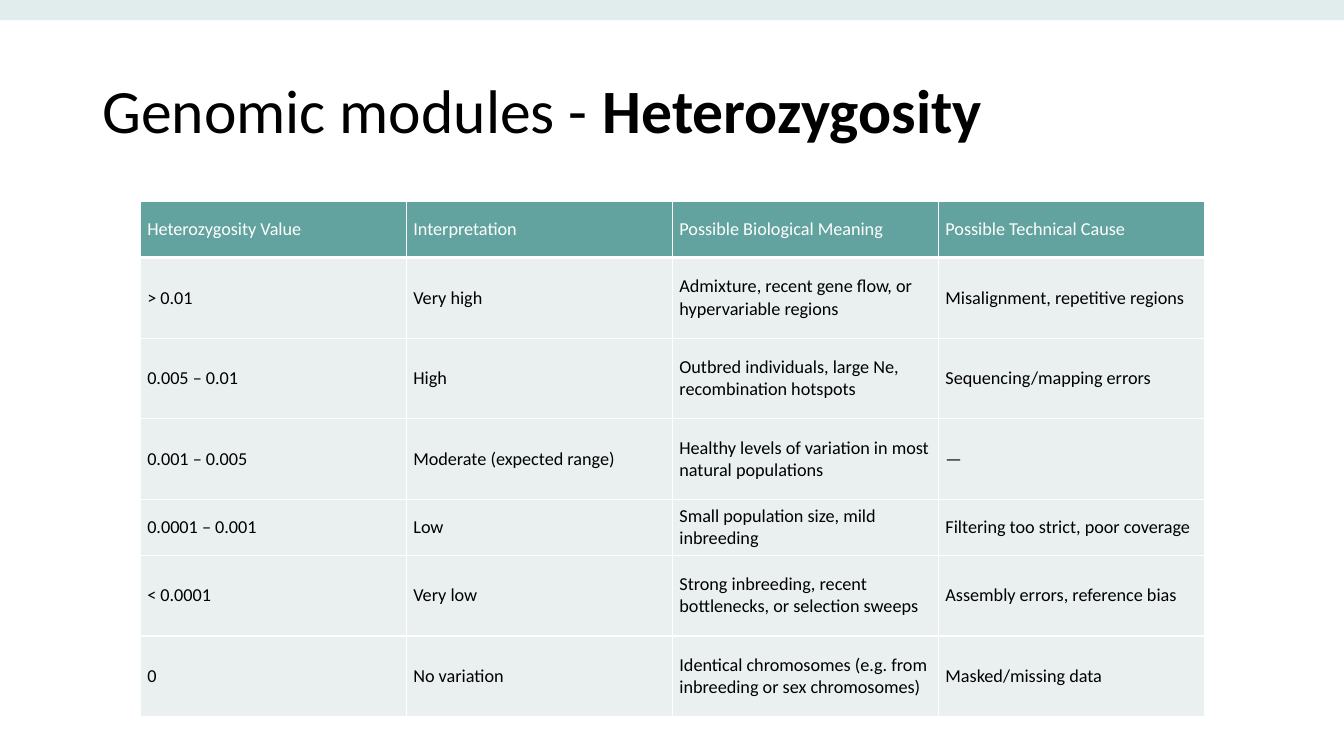
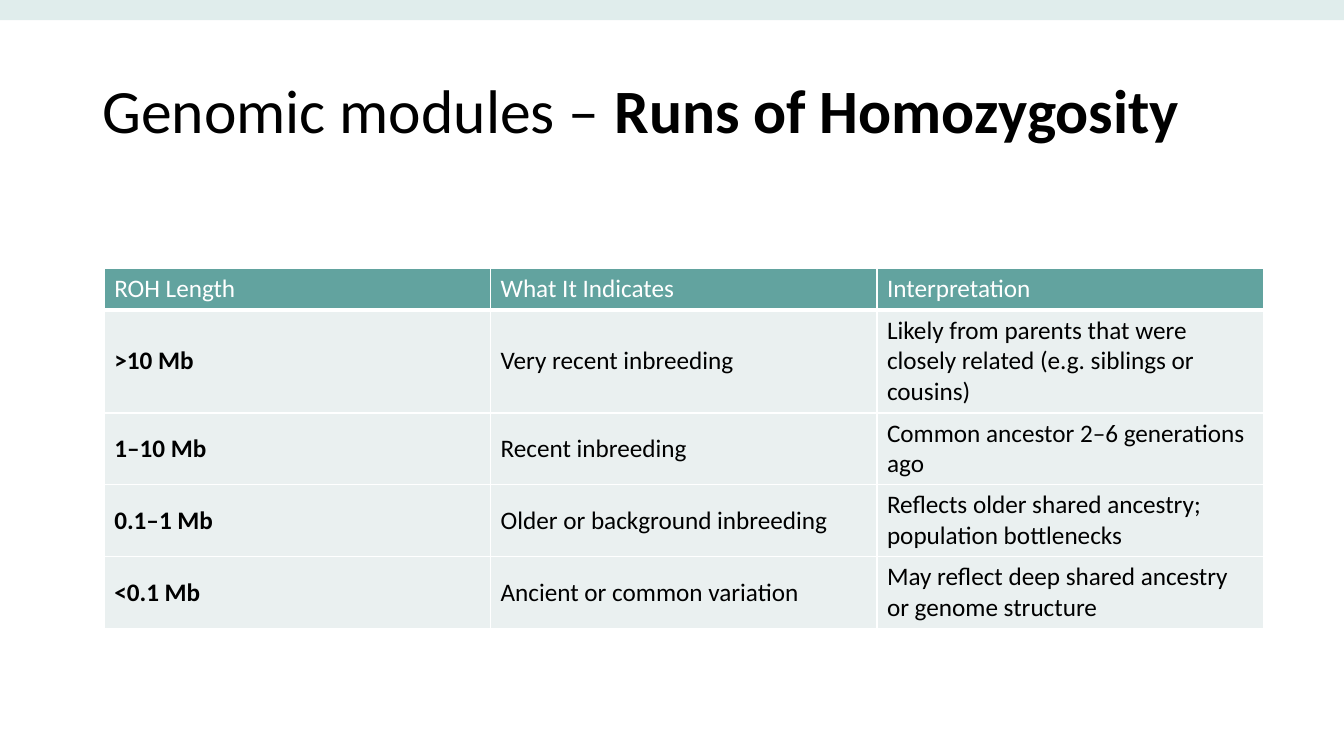
import pptx
import pptx.dml.color
import pptx.enum.shapes
import pptx.enum.text
import pptx.oxml
import pptx.oxml.ns
import pptx.util

COLORS = {
    "band": "E0EDEC",
    "header": "62A39F",
    "body": "EAF0F0",
    "light": "FFFFFF",
    "dark": "000000",
}
FONT = "Calibri"

# Grid of 160 columns by 90 rows, with square cells
COLUMNS, ROWS = 160, 90
SLIDE_WIDTH, SLIDE_HEIGHT = pptx.util.Inches(13.333), pptx.util.Inches(7.5)
TITLE_BOX = (11, 4.8, 138, 17.4)
BAND_BOX = (0, 0, COLUMNS, 2.4)

HETEROZYGOSITY = [
    ["Heterozygosity Value", "Interpretation", "Possible Biological Meaning", "Possible Technical Cause"],
    ["> 0.01", "Very high", "Admixture, recent gene flow, or hypervariable regions",
     "Misalignment, repetitive regions"],
    ["0.005 – 0.01", "High", "Outbred individuals, large Ne, recombination hotspots",
     "Sequencing/mapping errors"],
    ["0.001 – 0.005", "Moderate (expected range)",
     "Healthy levels of variation in most natural populations", "—"],
    ["0.0001 – 0.001", "Low", "Small population size, mild inbreeding",
     "Filtering too strict, poor coverage"],
    ["< 0.0001", "Very low", "Strong inbreeding, recent bottlenecks, or selection sweeps",
     "Assembly errors, reference bias"],
    ["0", "No variation", "Identical chromosomes (e.g. from inbreeding or sex chromosomes)",
     "Masked/missing data"],
]
HOMOZYGOSITY_RUNS = [
    ["ROH Length", "What It Indicates", "Interpretation"],
    [">10 Mb", "Very recent inbreeding",
     "Likely from parents that were closely related (e.g. siblings or cousins)"],
    ["1–10 Mb", "Recent inbreeding", "Common ancestor 2–6 generations ago"],
    ["0.1–1 Mb", "Older or background inbreeding",
     "Reflects older shared ancestry; population bottlenecks"],
    ["<0.1 Mb", "Ancient or common variation",
     "May reflect deep shared ancestry or genome structure"],
]


def across(columns):
    return round(SLIDE_WIDTH * columns / COLUMNS)


def down(rows):
    return round(SLIDE_HEIGHT * rows / ROWS)


def place(box):
    left, top, width, height = box
    return across(left), down(top), across(width), down(height)


def rgb(name):
    return pptx.dml.color.RGBColor.from_string(COLORS[name])


def add_text(para, text, size, color="dark", bold=False):
    span = para.add_run()
    span.text = text
    span.font.name = FONT
    span.font.size = pptx.util.Pt(size)
    span.font.bold = bold
    span.font.color.rgb = rgb(color)


def add_title(page, box, topic, emphasis):
    title = page.shapes.title
    title.left, title.top, title.width, title.height = place(box)
    frame = title.text_frame
    frame.word_wrap = True
    frame.auto_size = pptx.enum.text.MSO_AUTO_SIZE.NONE
    frame.vertical_anchor = pptx.enum.text.MSO_ANCHOR.MIDDLE
    para = frame.paragraphs[0]
    para.alignment = pptx.enum.text.PP_ALIGN.LEFT
    para.line_spacing = 0.9
    add_text(para, topic, 44)
    add_text(para, emphasis, 44, bold=True)


def add_band(page, box):
    band = page.shapes.add_shape(pptx.enum.shapes.MSO_SHAPE.RECTANGLE, *place(box))
    band.shadow.inherit = False
    band.fill.solid()
    band.fill.fore_color.rgb = rgb("band")
    band.line.fill.background()


def set_borders(cell, widths):
    properties = cell._tc.get_or_add_tcPr()
    for side in ("L", "R", "T", "B"):
        width = pptx.util.Pt(widths.get(side, 1))
        properties.append(pptx.oxml.parse_xml(
            f'<a:ln{side} {pptx.oxml.ns.nsdecls("a")} w="{width}"><a:solidFill>'
            f'<a:srgbClr val="{COLORS["light"]}"/></a:solidFill></a:ln{side}>'))


def add_table(page, box, records, row_heights, size, margins, bold_keys=False):
    left, top, width = box
    table_box = place((left, top, width, sum(row_heights)))
    table = page.shapes.add_table(len(records), len(records[0]), *table_box).table
    table.horz_banding = False
    for column in table.columns:
        column.width = across(width / len(records[0]))
    for r, (record, height) in enumerate(zip(records, row_heights)):
        table.rows[r].height = down(height)
        header = r == 0
        for c, text in enumerate(record):
            cell = table.cell(r, c)
            # A heavier rule divides the header from the body
            set_borders(cell, {"B": 3} if header else {"T": 3} if r == 1 else {})
            cell.fill.solid()
            cell.fill.fore_color.rgb = rgb("header" if header else "body")
            cell.vertical_anchor = pptx.enum.text.MSO_ANCHOR.MIDDLE
            cell.margin_left = cell.margin_right = pptx.util.Inches(margins[0])
            cell.margin_top = cell.margin_bottom = pptx.util.Inches(margins[1])
            add_text(cell.text_frame.paragraphs[0], text, size,
                     color="light" if header else "dark",
                     bold=bold_keys and c == 0 and not header)


def add_table_page(deck, topic, emphasis, **table_format):
    page = deck.slides.add_slide(deck.slide_layouts.get_by_name("Title Only"))
    add_title(page, TITLE_BOX, topic, emphasis)
    add_band(page, BAND_BOX)
    add_table(page, **table_format)


def main():
    deck = pptx.Presentation()
    deck.slide_width, deck.slide_height = SLIDE_WIDTH, SLIDE_HEIGHT

    # Heterozygosity values
    add_table_page(deck, "Genomic modules - ", "Heterozygosity",
                   box=(16.7, 24, 126.7), records=HETEROZYGOSITY,
                   row_heights=[6.66, 9.6, 9.6, 9.6, 6.66, 9.6, 9.6],
                   size=13, margins=(0.07, 0.04))

    # Lengths of runs of homozygosity
    add_table_page(deck, "Genomic modules – ", "Runs of Homozygosity",
                   box=(12.4, 32, 138), records=HOMOZYGOSITY_RUNS,
                   row_heights=[4.8, 12.3, 8.55, 8.55, 8.55],
                   size=18, margins=(0.1, 0.05), bold_keys=True)

    deck.save("out.pptx")


if __name__ == "__main__":
    main()
